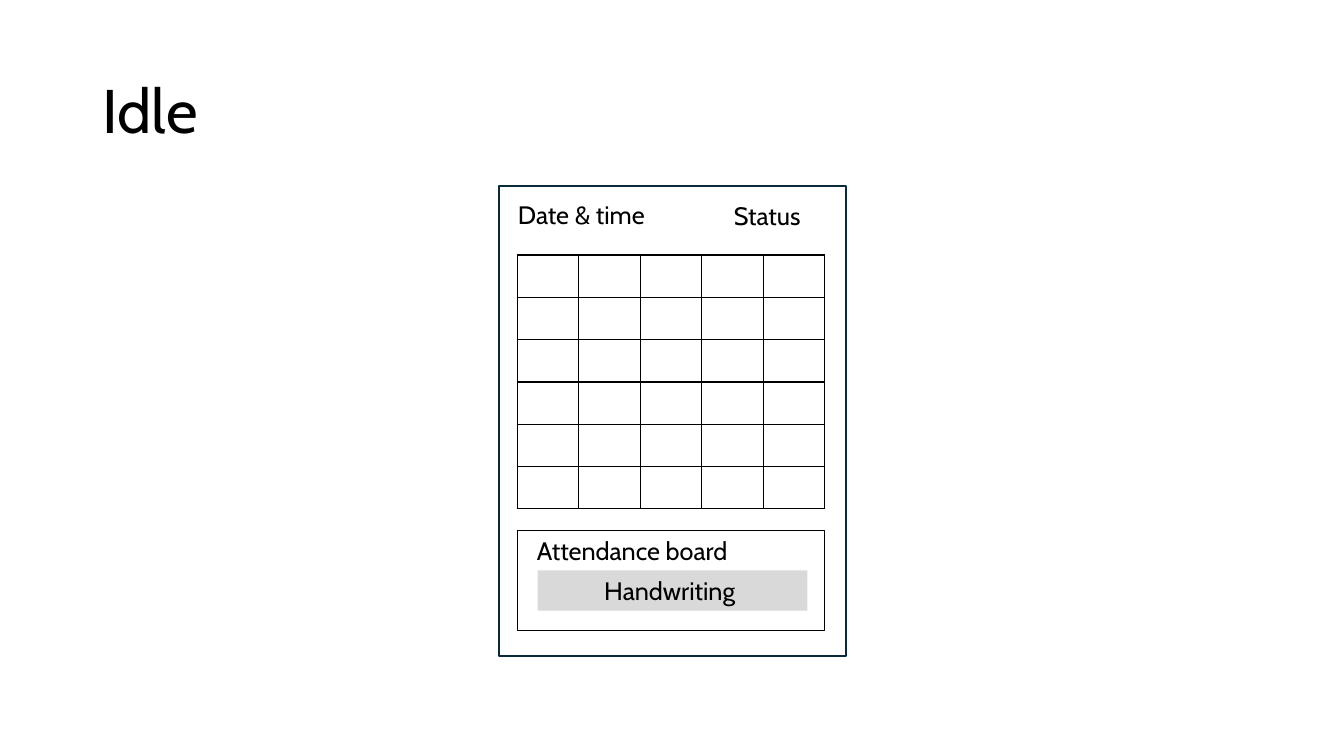
from pptx import Presentation
from pptx.dml.color import RGBColor
from pptx.enum.shapes import MSO_SHAPE
from pptx.enum.text import MSO_ANCHOR, PP_ALIGN
from pptx.oxml import parse_xml
from pptx.oxml.ns import nsdecls
from pptx.util import Inches, Pt

RECTANGLE = MSO_SHAPE.RECTANGLE
LEFT, CENTER = PP_ALIGN.LEFT, PP_ALIGN.CENTER
TOP, MIDDLE = MSO_ANCHOR.TOP, MSO_ANCHOR.MIDDLE
TITLE_ONLY = 5

COLORS = {"ink": "000000", "frame": "092A39", "field": "D9D9D9"}
FONT = "Cabin"

# The grid starts at the calendar's top left corner; one unit is one calendar cell
ORIGIN_X, ORIGIN_Y = 5.13, 2.53
COLUMN, ROW = 0.61, 0.42
CALENDAR_COLUMNS, CALENDAR_ROWS = 5, 6
LINE_OF_TEXT = 0.95


def apply(target, values):
    for name, value in values.items():
        setattr(target, name, value)


class Wireframe:
    """Holds the style and the current slide, and draws on the calendar grid."""

    def __init__(self, deck):
        self.page = deck.slides.add_slide(deck.slide_layouts[TITLE_ONLY])

    def place(self, column, row, columns, rows):
        return (Inches(ORIGIN_X + column * COLUMN), Inches(ORIGIN_Y + row * ROW),
                Inches(columns * COLUMN), Inches(rows * ROW))

    def fill_text(self, box, text, size=18, align=LEFT, anchor=TOP, spacing=1.0):
        frame = box.text_frame
        apply(frame, {"word_wrap": True, "vertical_anchor": anchor})
        para = frame.paragraphs[0]
        apply(para, {"alignment": align, "line_spacing": spacing})
        span = para.add_run()
        span.text = text
        apply(span.font, {"name": FONT, "size": Pt(size)})
        span.font.color.rgb = RGBColor.from_string(COLORS["ink"])

    def title(self, text, *area):
        box = self.page.shapes.title
        apply(box, dict(zip(("left", "top", "width", "height"), self.place(*area))))
        self.fill_text(box, text, size=44, anchor=MIDDLE, spacing=0.9)

    def label(self, text, *area):
        self.fill_text(self.page.shapes.add_textbox(*self.place(*area)), text)

    def rectangle(self, *area, fill=None, line=None, weight=0.75):
        box = self.page.shapes.add_shape(RECTANGLE, *self.place(*area))
        box.shadow.inherit = False
        if fill:
            box.fill.solid()
            box.fill.fore_color.rgb = RGBColor.from_string(COLORS[fill])
        else:
            box.fill.background()
        if line:
            box.line.color.rgb = RGBColor.from_string(COLORS[line])
            box.line.width = Pt(weight)
        else:
            box.line.fill.background()
        return box

    def calendar(self, rows, columns):
        area = self.place(0, 0, columns, rows)
        table = self.page.shapes.add_table(rows, columns, *area).table
        apply(table, {"first_row": False, "horz_banding": False})
        for column in table.columns:
            column.width = Inches(COLUMN)
        for row in table.rows:
            row.height = Inches(ROW)
        for cell in table.iter_cells():
            self.outline(cell)
            cell.fill.background()

    def outline(self, cell, weight=1):
        properties = cell._tc.get_or_add_tcPr()
        for side in ("lnL", "lnR", "lnT", "lnB"):
            properties.append(parse_xml(
                f'<a:{side} {nsdecls("a")} w="{Pt(weight)}"><a:solidFill>'
                f'<a:srgbClr val="{COLORS["ink"]}"/></a:solidFill></a:{side}>'))


def main():
    deck = Presentation()
    apply(deck, {"slide_width": Inches(13.33), "slide_height": Inches(7.5)})
    screen = Wireframe(deck)
    screen.title("Idle", -6.9, -5.07, 18.85, 3.45)

    # Device frame and header
    screen.rectangle(-0.3, -1.64, 5.64, 11.12, line="frame", weight=1.5)
    screen.label("Date & time", -0.15, -1.43, 3.52, LINE_OF_TEXT)
    screen.label("Status", 3.36, -1.4, 1.8, LINE_OF_TEXT)

    # Month calendar
    screen.calendar(CALENDAR_ROWS, CALENDAR_COLUMNS)

    # Attendance board with its handwriting field
    screen.label("Attendance board", 0.16, 6.5, 4.66, LINE_OF_TEXT)
    field = screen.rectangle(0.33, 7.45, 4.39, LINE_OF_TEXT, fill="field")
    screen.fill_text(field, "Handwriting ", align=CENTER)
    screen.rectangle(0, 6.5, CALENDAR_COLUMNS, 2.36, line="ink")

    deck.save("out.pptx")


if __name__ == "__main__":
    main()
